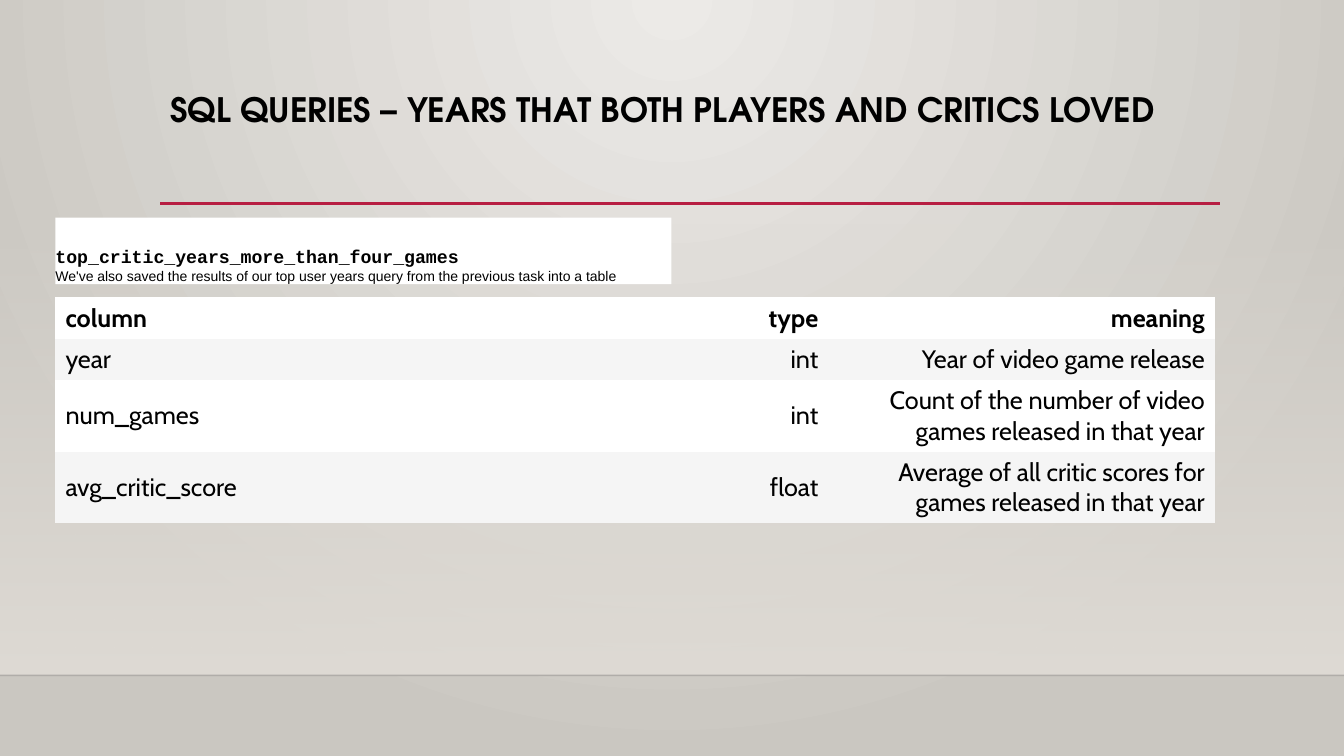
from pptx import Presentation, util as u
from pptx.dml.color import RGBColor
from pptx.enum import shapes, text
from pptx.oxml import parse_xml
from pptx.oxml.ns import qn
from lxml import etree

NS = 'xmlns:a="http://schemas.openxmlformats.org/drawingml/2006/main"'
THEME = {
    "black": "000000", "white": "FFFFFF", "band": "F5F5F5", "accent": "B71E42",
    "wall_in": "ECEAE7", "wall_out": "CAC7C1", "floor": "DFDBD5", "edge": "000001",
    "title": {"size": u.Pt(24), "name": "TeX Gyre Adventor", "bold": True},
    "head": {"size": u.Pt(18), "name": "Cabin", "bold": True},
    "body": {"size": u.Pt(18), "name": "Cabin", "bold": False},
    "code": {"size": u.Pt(13), "name": "Courier New", "bold": True},
    "note": {"size": u.Pt(10), "name": "Arial", "bold": False},
}


def write(p, words, style, align=text.PP_ALIGN.LEFT):
    p.alignment = align
    r = p.add_run()
    r.text = words
    for key, value in THEME[style].items():
        setattr(r.font, key, value)
    r.font.color.rgb = RGBColor.from_string(THEME["black"])


def set_gradient(fill_parent, stops, direction):
    gs = "".join(
        f'<a:gs pos="{pos}"><a:srgbClr val="{THEME[color]}"><a:alpha val="{alpha}"/></a:srgbClr></a:gs>'
        for pos, color, alpha in stops)
    old = fill_parent.find(qn("a:gradFill"))
    new = parse_xml(f'<a:gradFill {NS} rotWithShape="1"><a:gsLst>{gs}</a:gsLst>{direction}</a:gradFill>')
    fill_parent.replace(old, new)


prs = Presentation()
prs.slide_width, prs.slide_height = u.Inches(13.33), u.Inches(7.5)
s = prs.slides.add_slide(prs.slide_layouts[5])

s.background.fill.gradient()
set_gradient(s.background._cSld.bg.bgPr,
             [(0, "wall_in", 100000), (100000, "wall_out", 100000)],
             '<a:path path="circle"><a:fillToRect l="43000" t="0" r="43000" b="100000"/></a:path>')

sp = s.shapes.add_shape(shapes.MSO_SHAPE.RECTANGLE, 0, u.Inches(2.21), u.Inches(13.33), u.Inches(4.49))
sp.shadow.inherit = False
sp.line.fill.background()
sp.fill.gradient()
set_gradient(sp._element.spPr, [(0, "floor", 0), (100000, "floor", 100000)],
             '<a:lin ang="5400000" scaled="0"/>')

for left, right, y, color, width, alpha in [
    (0, 13.33, 6.7, "edge", 1, 20000),
    (1.59, 12.1, 2.02, "accent", 2.5, 100000),
]:
    line = s.shapes.add_connector(shapes.MSO_CONNECTOR.STRAIGHT,
                                  u.Inches(left), u.Inches(y), u.Inches(right), u.Inches(y))
    line.line.width = u.Pt(width)
    line.line.color.rgb = RGBColor.from_string(THEME[color])
    clr = line._element.spPr.find(".//" + qn("a:srgbClr"))
    etree.SubElement(clr, qn("a:alpha")).set("val", str(alpha))
    etree.SubElement(line._element.spPr, qn("a:effectLst"))

title = s.shapes.title
title.left, title.top, title.width, title.height = map(u.Inches, (1.59, 0.88, 10.5, 0.55))
tf = title.text_frame
tf.auto_size = text.MSO_AUTO_SIZE.NONE
tf.vertical_anchor = text.MSO_ANCHOR.TOP
tf.paragraphs[0].line_spacing = 0.9
write(tf.paragraphs[0], "SQL QUERIES – YEARS THAT BOTH PLAYERS AND CRITICS LOVED", "title")

rows = [
    ("column", "type", "meaning"),
    ("year", "int", "Year of video game release"),
    ("num_games", "int", "Count of the number of video games released in that year"),
    ("avg_critic_score", "float", "Average of all critic scores for games released in that year"),
]
heights = [0.41, 0.41, 0.71, 0.71]
frame = s.shapes.add_table(len(rows), 3, u.Inches(0.55), u.Inches(2.95),
                           u.Inches(11.5), u.Inches(sum(heights)))
table = frame.table
table.first_row = table.horz_banding = False
table._tbl.tblPr.find(qn("a:tableStyleId")).text = "{2D5ABB26-0587-4C30-8999-92F81FD0307C}"
for i, (row, height) in enumerate(zip(rows, heights)):
    table.rows[i].height = u.Inches(height)
    for j, words in enumerate(row):
        cell = table.cell(i, j)
        cell.fill.solid()
        cell.fill.fore_color.rgb = RGBColor.from_string(THEME["band" if i % 2 else "white"])
        cell.vertical_anchor = text.MSO_ANCHOR.MIDDLE
        write(cell.text_frame.paragraphs[0], words, "body" if i else "head",
              text.PP_ALIGN.RIGHT if j else text.PP_ALIGN.LEFT)

sp = s.shapes.add_shape(shapes.MSO_SHAPE.RECTANGLE,
                        u.Inches(0.55), u.Inches(2.16), u.Inches(6.11), u.Inches(0.66))
sp.shadow.inherit = False
sp.line.fill.background()
sp.fill.solid()
sp.fill.fore_color.rgb = RGBColor.from_string(THEME["white"])
tf = sp.text_frame
for key, value in {
    "margin_left": 0, "margin_top": u.Inches(0.27), "margin_right": 0, "margin_bottom": 0,
    "word_wrap": True, "vertical_anchor": text.MSO_ANCHOR.MIDDLE,
    "auto_size": text.MSO_AUTO_SIZE.SHAPE_TO_FIT_TEXT,
}.items():
    setattr(tf, key, value)
write(tf.paragraphs[0], "top_critic_years_more_than_four_games", "code")
write(tf.add_paragraph(),
      "We've also saved the results of our top user years query from the previous task into a table", "note")

prs.save("out.pptx")
